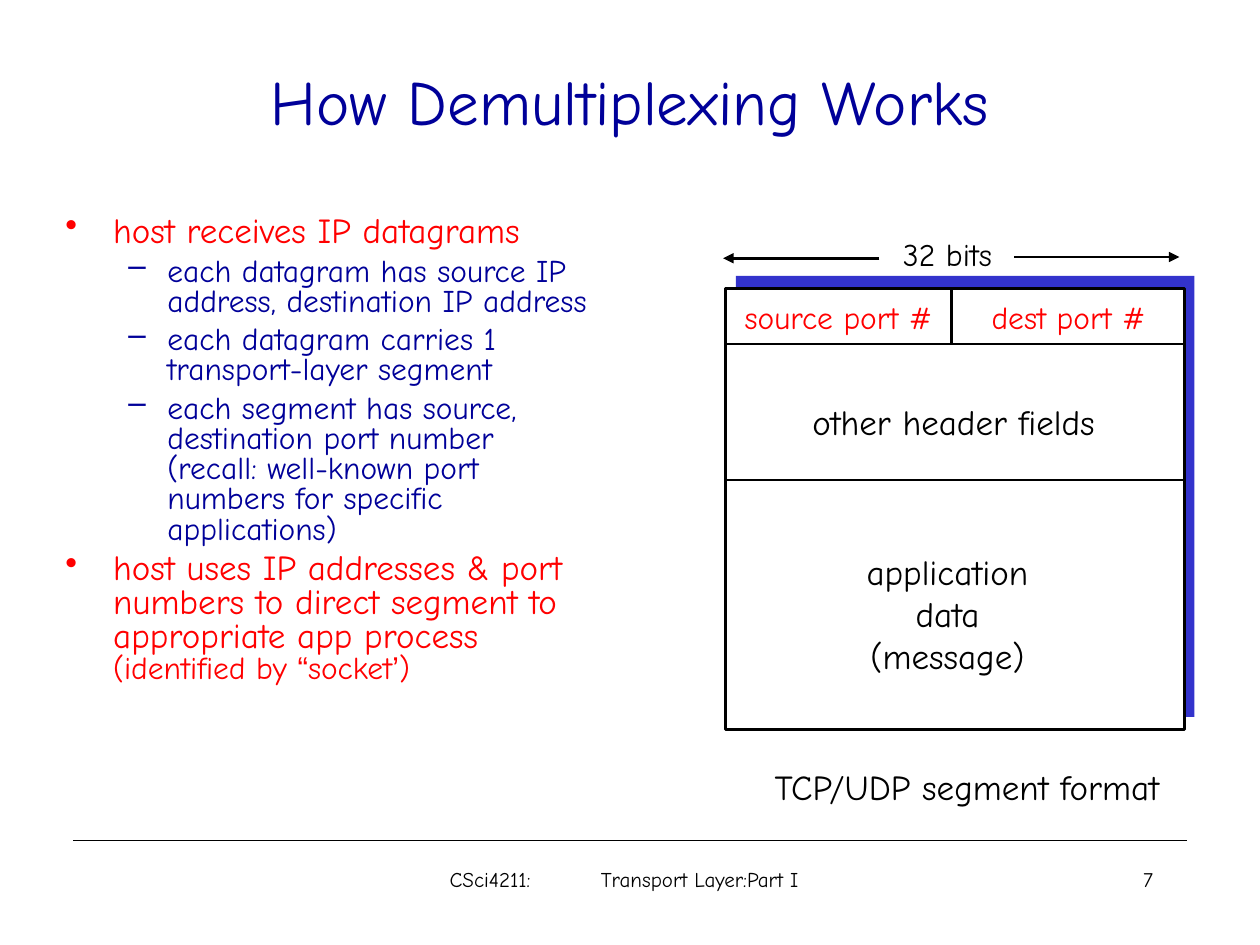
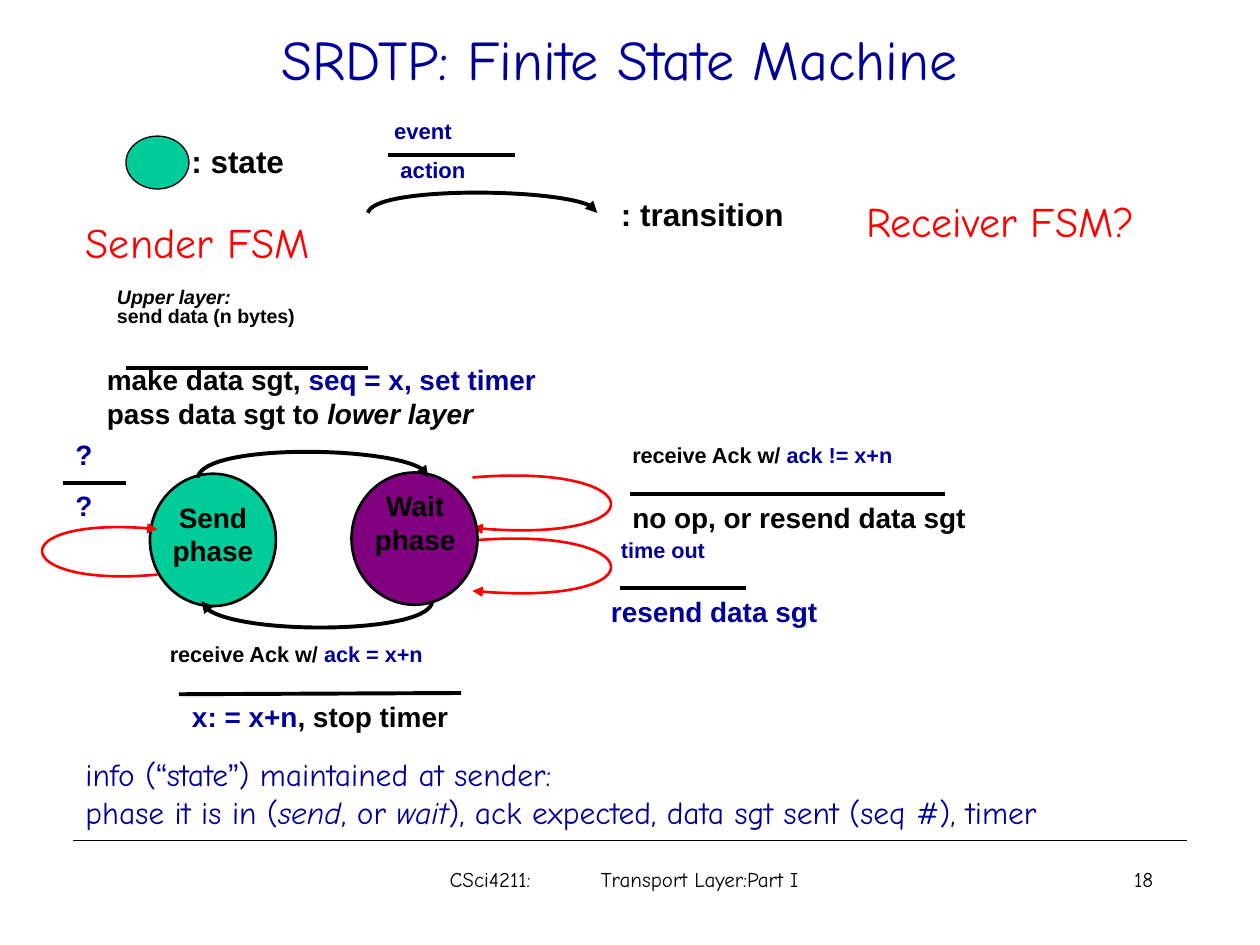
from lxml import etree
from pptx import Presentation
from pptx.dml.color import RGBColor
from pptx.enum.shapes import MSO_CONNECTOR, MSO_SHAPE
from pptx.enum.text import MSO_ANCHOR, PP_ALIGN
from pptx.oxml.ns import qn
from pptx.util import Inches, Pt

RECTANGLE, OVAL = MSO_SHAPE.RECTANGLE, MSO_SHAPE.OVAL
STRAIGHT = MSO_CONNECTOR.STRAIGHT
LEFT, CENTER, RIGHT = PP_ALIGN.LEFT, PP_ALIGN.CENTER, PP_ALIGN.RIGHT
TOP, MIDDLE = MSO_ANCHOR.TOP, MSO_ANCHOR.MIDDLE

COLORS = {
    "black": "000000",
    "white": "FFFFFF",
    "navy": "000099",
    "red": "FF0000",
    "blue": "3333CC",
    "green": "00CC99",
    "purple": "800080",
}
HAND, SANS = "Comic Neue", "Arial"
BULLETS = [("•", "red", 0.38, 0.38, 20), ("–", "navy", 0.81, 0.31, 18)]
FOOTER = "CSci4211:\tTransport Layer:Part I"


def color(name):
    return RGBColor.from_string(COLORS[name])


def navy(text):
    return text, {"ink": "navy"}


def italic(text):
    return text, {"italic": True}


def sans(text):
    return text, {"font": SANS}


class Slides:
    def __init__(self):
        self.deck = Presentation()
        self.deck.slide_width, self.deck.slide_height = Inches(10), Inches(7.5)
        self.page = None

    def start(self, title, place, size, number):
        self.page = self.deck.slides.add_slide(self.deck.slide_layouts[6])
        self.line((0.58, 6.67), (9.42, 6.67), 0.75)
        footer = self.text((3.47, 6.83, 3.1, 0.5), [[FOOTER]], 12)
        stops = etree.SubElement(footer.paragraphs[0]._p.get_or_add_pPr(), qn("a:tabLst"))
        etree.SubElement(stops, qn("a:tab"), pos=str(Inches(1.2)), algn="l")
        self.text((7.17, 6.83, 2.08, 0.5), [[number]], 12, align=RIGHT)
        self.text(place, [[title]], size, "navy", align=CENTER, anchor=MIDDLE)

    def text(self, place, paragraphs, size, ink="black", font=HAND, bold=False,
             align=LEFT, anchor=TOP, spacing=None, wrap=True):
        box = self.page.shapes.add_textbox(*map(Inches, place))
        frame = box.text_frame
        frame.word_wrap = wrap
        frame.vertical_anchor = anchor
        for index, spans in enumerate(paragraphs):
            para = frame.paragraphs[0] if index == 0 else frame.add_paragraph()
            para.alignment = align
            para.line_spacing = spacing
            base = {"size": size, "ink": ink, "font": font, "bold": bold}
            self.spans(para, spans, base)
        return frame

    def spans(self, para, spans, base):
        for item in spans:
            if item == "\n":
                para.add_line_break()
                continue
            words, changes = (item, {}) if isinstance(item, str) else item
            style = {**base, **changes}
            span = para.add_run()
            span.text = words
            span.font.size = Pt(style["size"])
            span.font.name = style["font"]
            span.font.bold = style.get("bold", False)
            span.font.italic = style.get("italic", False)
            span.font.color.rgb = color(style["ink"])

    def label(self, place, words, size, ink="black"):
        self.text(place, [[word] for word in words], size, ink, align=CENTER, wrap=False)

    def caption(self, place, paragraphs, size=16, ink="black", **options):
        self.text(place, paragraphs, size, ink, SANS, True, **options)

    def bullets(self, place, items):
        box = self.page.shapes.add_textbox(*map(Inches, place))
        frame = box.text_frame
        frame.word_wrap = True
        for index, (level, spans) in enumerate(items):
            mark, ink, margin, hang, size = BULLETS[level]
            para = frame.paragraphs[0] if index == 0 else frame.add_paragraph()
            para.level = level
            para.line_spacing = 0.8
            para.space_before = Pt(4.5)
            props = para._p.get_or_add_pPr()
            props.set("marL", str(Inches(margin)))
            props.set("indent", str(-Inches(hang)))
            tint = etree.SubElement(props, qn("a:buClr"))
            etree.SubElement(tint, qn("a:srgbClr"), val=COLORS[ink])
            etree.SubElement(props, qn("a:buChar"), char=mark)
            self.spans(para, spans, {"size": size, "ink": ink, "font": HAND})

    def shape(self, kind, place, fill, width=None):
        shape = self.page.shapes.add_shape(kind, *map(Inches, place))
        shape.shadow.inherit = False
        shape.fill.solid()
        shape.fill.fore_color.rgb = color(fill)
        if width:
            self.stroke(shape, width)
        else:
            shape.line.fill.background()

    def stroke(self, shape, width, ink="black", arrow=None):
        shape.line.color.rgb = color(ink)
        shape.line.width = Pt(width)
        if arrow:
            etree.SubElement(shape.line._get_or_add_ln(), qn("a:" + arrow), type="triangle")

    def line(self, start, end, width=1.5, arrow=None):
        line = self.page.shapes.add_connector(STRAIGHT, *map(Inches, start + end))
        self.stroke(line, width, arrow=arrow)
        etree.SubElement(line._element.spPr, qn("a:effectLst"))

    def curve(self, points, width=2.25, ink="black", arrow="tailEnd"):
        start, *rest = [(Inches(x), Inches(y)) for x, y in points]
        builder = self.page.shapes.build_freeform(*start)
        builder.add_line_segments(rest, close=False)
        shape = builder.convert_to_shape()
        shape.shadow.inherit = False
        shape.fill.background()
        self.stroke(shape, width, ink, arrow)
        outline = next(shape._element.iter(qn("a:path")))
        bezier = etree.SubElement(outline, qn("a:cubicBezTo"))
        for segment in outline.findall(qn("a:lnTo")):
            bezier.append(segment[0])
            outline.remove(segment)


def demultiplexing(slides):
    slides.start("How Demultiplexing Works", (0.75, 0.17, 8.5, 1.25), 36, "7")
    left, top, width, height = 5.76, 2.29, 3.64, 3.5
    right = left + width
    slides.shape(RECTANGLE, (left + 0.08, top - 0.1, width, height), "blue")
    slides.shape(RECTANGLE, (left, top, width, height), "white", 1.5)
    small = {"size": 18}
    slides.bullets((0.42, 1.67, 4.45, 3.97), [
        (0, ["host receives IP datagrams"]),
        (1, ["each datagram has source IP address, destination IP address"]),
        (1, ["each datagram carries 1 transport-layer segment"]),
        (1, ["each segment has source, destination port number ", "\n",
             "(recall: well-known port numbers for specific applications)"]),
        (0, ["host uses IP addresses & port numbers to direct segment to "
             "appropriate app process ",
             ("(identified by ", small), ("“", {**small, "font": SANS}),
             ("socket", small), ("’", {**small, "font": SANS}), (")", small)]),
    ])
    for divider in (2.73, 3.81):
        slides.line((left, divider), (right, divider))
    slides.line((7.55, 2.73), (7.55, top))
    slides.line((8.05, 2.04), (9.36, 2.04), arrow="tailEnd")
    slides.line((6.98, 2.05), (5.74, 2.05), arrow="tailEnd")
    slides.label((5.71, 2.32, 1.89, 0.4), ["source port #"], 18, "red")
    slides.label((7.67, 2.32, 1.62, 0.4), ["dest port #"], 18, "red")
    slides.label((6.92, 1.82, 1.2, 0.4), ["32 bits"], 18)
    slides.label((6.52, 4.32, 2, 1.1), ["application", "data", "(message)"], 20)
    slides.label((6.25, 3.13, 2.64, 0.44), ["other header fields"], 20)
    slides.label((5.93, 6.03, 3.49, 0.44), ["TCP/UDP segment format"], 20)


def state_machine(slides):
    slides.start("SRDTP: Finite State Machine", (0.67, 0, 8.5, 0.92), 32, "18")
    slides.label((0.48, 1.67, 2.18, 0.5), ["Sender FSM"], 24, "red")
    slides.label((6.67, 1.5, 2.54, 0.5), ["Receiver FSM?"], 24, "red")

    slides.shape(OVAL, (1, 1.08, 0.5, 0.42), "green", 0.75)
    slides.caption((1.42, 1.08, 1.79, 0.44), [[": state"]], 18)
    slides.caption((4.83, 1.5, 1.58, 0.44), [[": transition"]], 18)
    slides.caption((3.03, 0.92, 1.38, 0.33), [["event"]], 12.6, "navy", spacing=0.8)
    slides.caption((3.08, 1.23, 1.58, 0.33), [["action"]], 12.6, "navy", spacing=0.8)
    slides.curve([(2.92, 1.69), (2.96, 1.48), (4.74, 1.49), (4.74, 1.69)])

    for top in (3.67, 4.17):
        slides.curve([(3.75, top + 0.12), (5.16, top), (5.25, top + 0.66),
                      (3.75, top + 0.52)], 1.5, "red")
    slides.shape(OVAL, (1.19, 3.76, 1, 1.05), "green", 1.5)
    slides.shape(OVAL, (2.79, 3.75, 1, 1.05), "purple", 1.5)
    slides.caption((1.08, 3.92, 1.22, 0.67), [["Send"], ["phase"]], align=CENTER)
    slides.caption((2.75, 3.83, 1.09, 0.67), [["Wait"], ["phase"]], align=CENTER)
    slides.curve([(1.57, 3.79), (1.61, 3.52), (3.4, 3.54), (3.4, 3.79)])
    slides.curve([(1.6, 4.77), (1.64, 5.05), (3.43, 5.03), (3.43, 4.77)], arrow="headEnd")
    slides.curve([(1.25, 4.56), (0.08, 4.67), (0, 4.08), (1.25, 4.2)], 1.5, "red")

    for start, end in [((3.08, 1.23), (4.09, 1.23)), ((1, 2.92), (2.92, 2.92)),
                       ((1.42, 5.51), (3.66, 5.5)), ((5, 3.92), (7.5, 3.92)),
                       ((4.92, 4.67), (5.92, 4.67)), ((0.5, 3.83), (1, 3.83))]:
        slides.line(start, end, 2.25)

    slides.caption((0.83, 2.25, 2.25, 0.47),
                   [[italic("Upper layer:")], ["send data (n bytes)"]], 11.2, spacing=0.8)
    slides.caption((0.75, 2.83, 4, 0.75),
                   [["make data sgt, ", navy("seq = x, set timer")],
                    ["pass data sgt to ", italic("lower layer")]])
    for place, spans in [((4.92, 3.5, 3.6, 0.31), ["receive Ack w/ ", navy("ack != x+n")]),
                         ((4.83, 4.25, 3.6, 0.31), [navy("time out")]),
                         ((1.25, 5.08, 3.6, 0.31), ["receive Ack w/ ", navy("ack = x+n")])]:
        slides.caption(place, [spans], 12.4, spacing=0.8)
    slides.caption((4.92, 3.92, 3.33, 0.44), [["no op, or resend data sgt"]])
    slides.caption((4.75, 4.67, 1.92, 0.44), [["resend data sgt"]], ink="navy")
    slides.caption((1.34, 5.5, 2.4, 0.37), [[navy("x: = x+n"), ", stop timer"]],
                   align=CENTER, wrap=False)
    for top in (3.42, 3.83):
        slides.caption((0.5, top, 0.33, 0.44), [["?"]], ink="navy")
    slides.text((0.58, 5.92, 9, 0.75), [
        ["info (", sans("“"), "state", sans("”"), ") maintained at sender:"],
        ["phase it is in (", italic("send"), ", or ", italic("wait"),
         "), ack expected, data sgt sent (seq #), timer"],
    ], 18, "navy", anchor=MIDDLE)


def main():
    slides = Slides()
    demultiplexing(slides)
    state_machine(slides)
    slides.deck.save("out.pptx")


if __name__ == "__main__":
    main()
